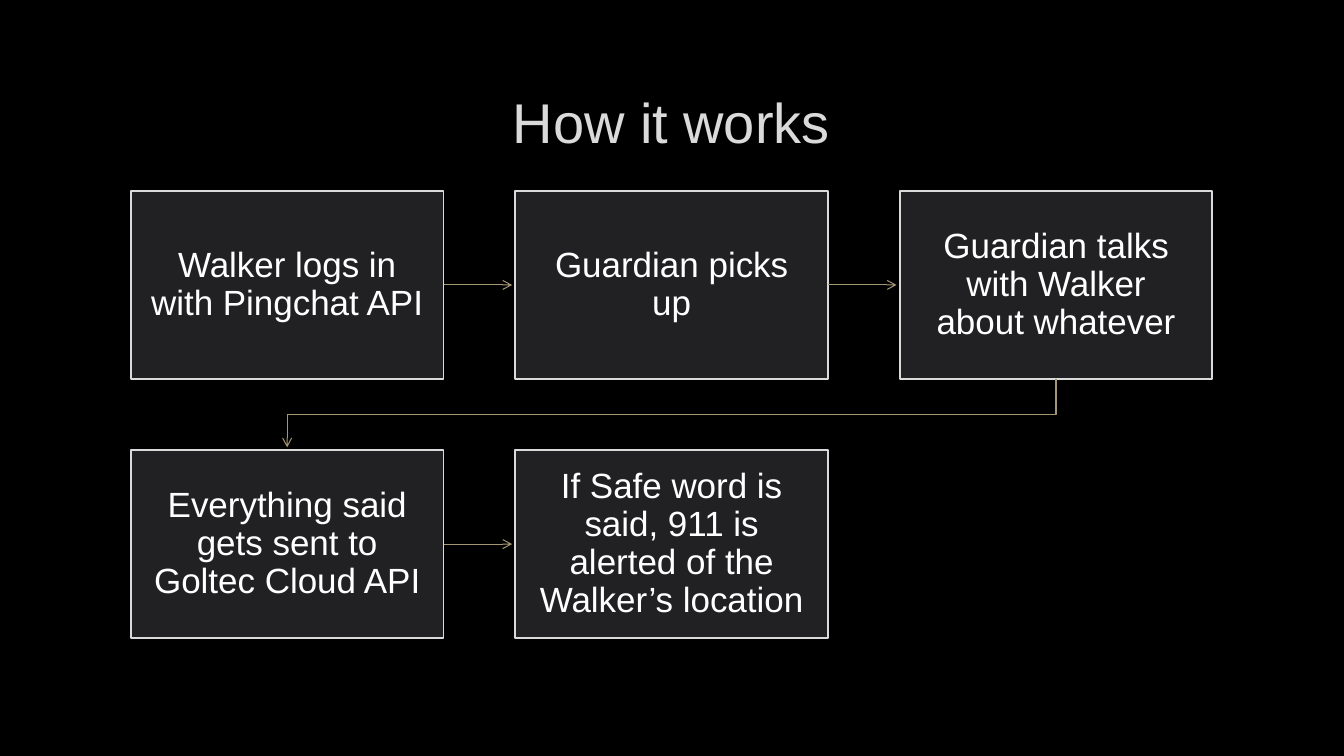
from lxml.etree import SubElement
from pptx import Presentation
from pptx.dml.color import RGBColor
from pptx.enum.shapes import MSO_CONNECTOR as Link, MSO_SHAPE as Shape
from pptx.enum.text import MSO_ANCHOR as Anchor, PP_ALIGN as Align
from pptx.oxml.ns import qn
from pptx.util import Pt

HEX = {"back": "000000", "title": "DADADA", "box": "212123",
       "edge": "DADADA", "text": "FFFFFF", "arrow": "A59675"}
STEPS = ["Walker logs in with Pingchat API",
         "Guardian picks up",
         "Guardian talks with Walker about whatever",
         "Everything said gets sent to Goltec Cloud API",
         "If Safe word is said, 911 is alerted of the Walker’s location"]
COLS = 3
GAP = 51.2     # between boxes, both ways
SHORT = 2.2    # space left between arrow tip and box


def color(name):
    return RGBColor.from_string(HEX[name])


def write(shape, text, size, fill, inset=7.2, space=1.0):
    frame = shape.text_frame
    frame.word_wrap = True
    frame.vertical_anchor = Anchor.MIDDLE
    frame.margin_left = frame.margin_right = Pt(inset)
    frame.margin_top = frame.margin_bottom = Pt(inset)
    para = frame.paragraphs[0]
    para.alignment = Align.CENTER
    para.line_spacing = space
    run = para.add_run()
    run.text = text
    run.font.name = "Arial"
    run.font.size = Pt(size)
    run.font.color.rgb = color(fill)


def style(line):
    """Give a connector or open outline its colour and arrowhead."""
    line.line.width = Pt(0.75)
    line.line.color.rgb = color("arrow")
    props = line.element.spPr
    SubElement(props.find(qn("a:ln")), qn("a:tailEnd"), type="arrow")
    SubElement(props, qn("a:effectLst"))


def title(slide, text, x, y, w, h):
    write(slide.shapes.add_textbox(Pt(x), Pt(y), Pt(w), Pt(h)), text, 40, "title")


def step(slide, text, x, y, w, h):
    box = slide.shapes.add_shape(Shape.RECTANGLE, Pt(x), Pt(y), Pt(w), Pt(h))
    box.shadow.inherit = False
    box.fill.solid()
    box.fill.fore_color.rgb = color("box")
    box.line.color.rgb = color("edge")
    box.line.width = Pt(1.25)
    write(box, text, 25, "text", inset=13.7, space=0.9)
    return box


def across(slide, box):
    """Arrow from a box to the next one in its row."""
    x, y = box.left + box.width, box.top + box.height // 2
    line = slide.shapes.add_connector(
        Link.STRAIGHT, x, y, x + Pt(GAP - SHORT), y)
    line.begin_connect(box, 3)
    style(line)


def wrap(slide, start, end):
    """Bent arrow from the end of one row to the start of the next."""
    x, y = start.left + start.width // 2, start.top + start.height
    left, mid = end.left + end.width // 2, y + Pt(GAP / 2)
    path = slide.shapes.build_freeform(x, y)
    path.add_line_segments(
        [(x, mid), (left, mid), (left, end.top - Pt(SHORT))], close=False)
    line = path.convert_to_shape()
    line.fill.background()
    style(line)


def flow(slide, x, y, w, h):
    """Lay the steps out in rows and link each one to the next."""
    rows = -(-len(STEPS) // COLS)
    wide = (w - GAP * (COLS - 1)) / COLS
    high = (h - GAP * (rows - 1)) / rows
    boxes = []
    for i, text in enumerate(STEPS):
        row, col = divmod(i, COLS)
        boxes.append(step(slide, text, x + col * (wide + GAP),
                          y + row * (high + GAP), wide, high))
    for start, end in zip(boxes, boxes[1:]):
        if start.top == end.top:
            across(slide, start)
        else:
            wrap(slide, start, end)


def main():
    deck = Presentation()
    deck.slide_width, deck.slide_height = Pt(960), Pt(540)
    slide = deck.slides.add_slide(deck.slide_layouts[6])
    slide.background.fill.solid()
    slide.background.fill.fore_color.rgb = color("back")
    title(slide, "How it works", 72, 48.2, 815, 76.3)
    flow(slide, 93.4, 136.6, 772.6, 319)
    deck.save("out.pptx")


if __name__ == "__main__":
    main()
